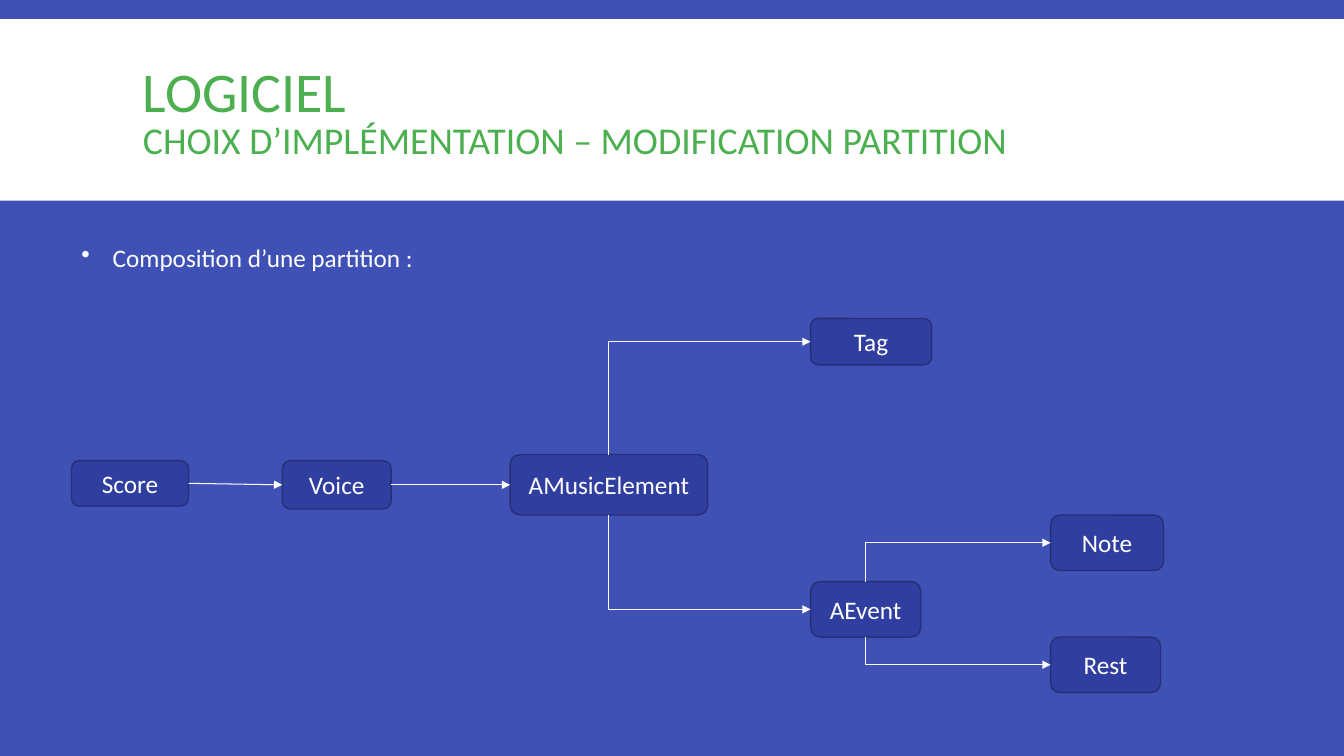
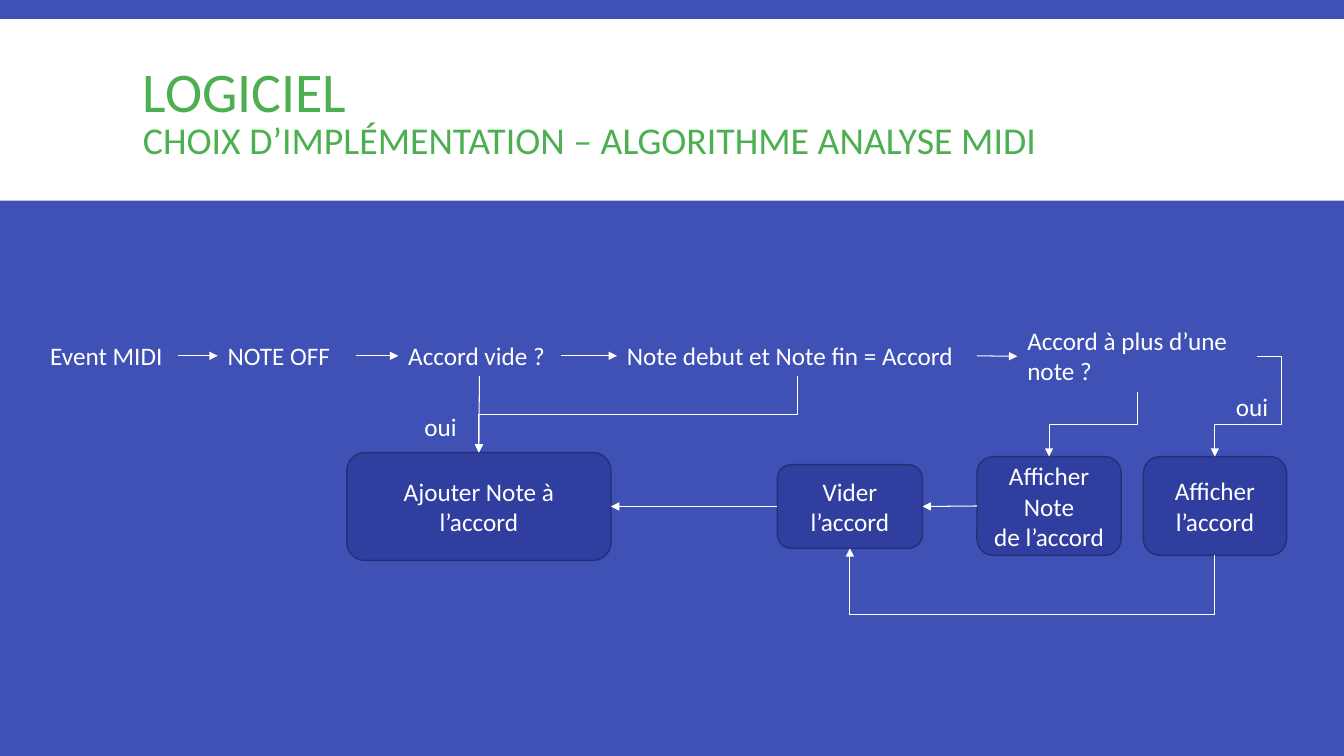
from itertools import pairwise

from lxml import etree
from pptx import Presentation
from pptx.dml.color import RGBColor
from pptx.enum.shapes import MSO_CONNECTOR, MSO_SHAPE
from pptx.enum.text import MSO_ANCHOR, PP_ALIGN
from pptx.oxml.ns import qn
from pptx.util import Inches, Pt

RECTANGLE, ROUNDED = MSO_SHAPE.RECTANGLE, MSO_SHAPE.ROUNDED_RECTANGLE
STRAIGHT, ELBOW = MSO_CONNECTOR.STRAIGHT, MSO_CONNECTOR.ELBOW
MIDDLE, CENTER = MSO_ANCHOR.MIDDLE, PP_ALIGN.CENTER
TOP, LEFT, BOTTOM, RIGHT = range(4)

INDIGO = RGBColor(0x3F, 0x51, 0xB5)
DARK_INDIGO = RGBColor(0x30, 0x3F, 0x9F)
OUTLINE = RGBColor(0x24, 0x2F, 0x76)
GREEN = RGBColor(0x4C, 0xAF, 0x50)
WHITE = RGBColor(0xFF, 0xFF, 0xFF)
FONT = "Calibri"
SLIDE_WIDTH = 13.33


class Deck:
    """Shared style and the slide being drawn."""

    def __init__(self):
        self.presentation = Presentation()
        self.presentation.slide_width = Inches(SLIDE_WIDTH)
        self.presentation.slide_height = Inches(7.5)
        self.slide = None

    def add_slide(self, subtitle):
        layout = self.presentation.slide_layouts[6]
        self.slide = self.presentation.slides.add_slide(layout)
        background = self.slide.background.fill
        background.solid()
        background.fore_color.rgb = INDIGO
        band = self.shape(RECTANGLE, 0, 0.19, SLIDE_WIDTH, 1.8, WHITE)
        band.line.fill.background()
        self.title(subtitle)

    def title(self, subtitle):
        frame = self.text_box(1.32, 0.31, 10.7, 1.65).text_frame
        frame.vertical_anchor = MIDDLE
        paragraph = frame.paragraphs[0]
        paragraph.line_spacing = 0.85
        self.style(paragraph, GREEN, 40)
        paragraph.add_run().text = "LOGICIEL"
        paragraph.add_line_break()
        run = paragraph.add_run()
        run.text = "CHOIX D’IMPLÉMENTATION – " + subtitle
        run.font.size = Pt(27)

    def style(self, paragraph, color=WHITE, size=18):
        paragraph.font.name = FONT
        paragraph.font.size = Pt(size)
        paragraph.font.color.rgb = color

    def shape(self, kind, left, top, width, height, color):
        shape = self.slide.shapes.add_shape(
            kind, Inches(left), Inches(top), Inches(width), Inches(height))
        shape.shadow.inherit = False
        shape.fill.solid()
        shape.fill.fore_color.rgb = color
        return shape

    def box(self, text, left, top, width, height):
        box = self.shape(ROUNDED, left, top, width, height, DARK_INDIGO)
        box.line.color.rgb = OUTLINE
        box.line.width = Pt(1)
        box.text_frame.text = text
        box.text_frame.vertical_anchor = MIDDLE
        for paragraph in box.text_frame.paragraphs:
            paragraph.alignment = CENTER
            self.style(paragraph)
        return box

    def text_box(self, left, top, width, height):
        text_box = self.slide.shapes.add_textbox(
            Inches(left), Inches(top), Inches(width), Inches(height))
        text_box.text_frame.word_wrap = True
        return text_box

    def label(self, text, left, top, width, height=0.4, bullet=False):
        label = self.text_box(left, top, width, height)
        paragraph = label.text_frame.paragraphs[0]
        paragraph.text = text
        if bullet:
            properties = paragraph._p.get_or_add_pPr()
            properties.set("marL", str(Inches(0.31)))
            properties.set("indent", str(-Inches(0.31)))
            etree.SubElement(properties, qn("a:buChar"), char="•")
        self.style(paragraph)
        return label

    def arrow(self, start, start_side, end, end_side, kind=STRAIGHT):
        connector = self.slide.shapes.add_connector(kind, 0, 0, 0, 0)
        connector.begin_connect(start, start_side)
        connector.end_connect(end, end_side)
        connector.line.color.rgb = WHITE
        connector.line.width = Pt(0.75)
        line = connector.line._get_or_add_ln()
        etree.SubElement(line, qn("a:tailEnd"), type="triangle")
        etree.SubElement(connector._element.spPr, qn("a:effectLst"))
        return connector

    def elbow(self, start, start_side, end, end_side, bend_x=None, bend_y=None):
        """Bent arrow; bend_x and bend_y place its middle segments."""
        connector = self.arrow(start, start_side, end, end_side, ELBOW)
        begin_x, begin_y = connector.begin_x, connector.begin_y
        across, down = connector.end_x - begin_x, connector.end_y - begin_y

        # Bends as fractions of the way from start to end
        bends = []
        if bend_x is not None:
            bends.append((Inches(bend_x) - begin_x) / across)
        if bend_y is not None:
            bends.append((Inches(bend_y) - begin_y) / down)
        properties = connector._element.spPr
        geometry = properties.find(qn("a:prstGeom"))
        bend_count = 2 if end_side == LEFT else 4 if start_side == RIGHT else 3
        geometry.set("prst", f"bentConnector{bend_count}")
        for number, bend in enumerate(bends, 1):
            etree.SubElement(geometry.find(qn("a:avLst")), qn("a:gd"),
                             name=f"adj{number}", fmla=f"val {round(bend * 100000)}")

        # A route that leaves vertically is a quarter turn of a horizontal one
        if start_side in (TOP, BOTTOM):
            connector.width, connector.height = abs(down), abs(across)
            connector.left = begin_x + (across - abs(down)) // 2
            connector.top = begin_y + (down - abs(across)) // 2
            frame = properties.find(qn("a:xfrm"))
            frame.set("rot", str(90 * 60000))
            frame.set("flipH", str(int(down < 0)))
            frame.set("flipV", str(int(across > 0)))


def build_score_slide(deck):
    deck.add_slide("MODIFICATION PARTITION")

    # Class boxes
    score = deck.box("Score", 0.71, 4.57, 1.16, 0.45)
    voice = deck.box("Voice", 2.8, 4.57, 1.08, 0.48)
    element = deck.box("AMusicElement", 5.06, 4.51, 1.96, 0.6)
    event = deck.box("AEvent", 8.04, 5.77, 1.09, 0.55)
    note = deck.box("Note", 10.42, 5.11, 1.12, 0.55)
    rest = deck.box("Rest", 10.42, 6.32, 1.09, 0.55)
    tag = deck.box("Tag", 8.04, 3.16, 1.2, 0.46)

    # Composition arrows
    for start, end in pairwise((score, voice, element)):
        deck.arrow(start, RIGHT, end, LEFT)
    for parent, upper, lower in ((element, tag, event), (event, note, rest)):
        deck.elbow(parent, TOP, upper, LEFT)
        deck.elbow(parent, BOTTOM, lower, LEFT)

    deck.label("Composition d’une partition :", 0.71, 2.36, 3.66, bullet=True)


def build_midi_slide(deck):
    deck.add_slide("ALGORITHME ANALYSE MIDI")

    # Row of steps and tests
    steps = [deck.label(text, left, 3.33, width) for text, left, width in (
        ("Event MIDI", 0.4, 1.37),
        ("NOTE OFF", 2.16, 1.37),
        ("Accord vide ?", 3.95, 1.61),
        ("Note debut et Note fin = Accord", 6.12, 3.57),
    )]
    steps.append(deck.label("Accord à plus d’une note ?", 10.09, 3.18, 2.38, 0.71))
    for start, end in pairwise(steps):
        deck.arrow(start, RIGHT, end, LEFT)
    empty_test, same_test, several_test = steps[2:]

    # Action boxes
    add_note = deck.box("Ajouter Note à l’accord", 3.44, 4.49, 2.62, 1.07)
    clear = deck.box("Vider l’accord", 7.71, 4.61, 1.44, 0.83)
    show_note = deck.box("Afficher Note\nde l’accord", 9.69, 4.53, 1.43, 0.98)
    show_chord = deck.box("Afficher l’accord", 11.34, 4.53, 1.42, 0.98)
    for start, end in pairwise((show_note, clear, add_note)):
        deck.arrow(start, LEFT, end, RIGHT)

    # Branches from the tests
    deck.arrow(empty_test, BOTTOM, add_note, TOP)
    deck.elbow(same_test, BOTTOM, add_note, TOP, bend_y=4.11)
    deck.elbow(several_test, BOTTOM, show_note, TOP, bend_y=4.21)
    deck.elbow(several_test, RIGHT, show_chord, TOP, bend_x=12.71, bend_y=4.21)
    deck.elbow(show_chord, BOTTOM, clear, BOTTOM, bend_y=6.1)
    deck.label("oui", 4.11, 4.03, 0.69)
    deck.label("oui", 12.16, 3.83, 0.64)


def main():
    deck = Deck()
    build_score_slide(deck)
    build_midi_slide(deck)
    deck.presentation.save("out.pptx")


if __name__ == "__main__":
    main()
